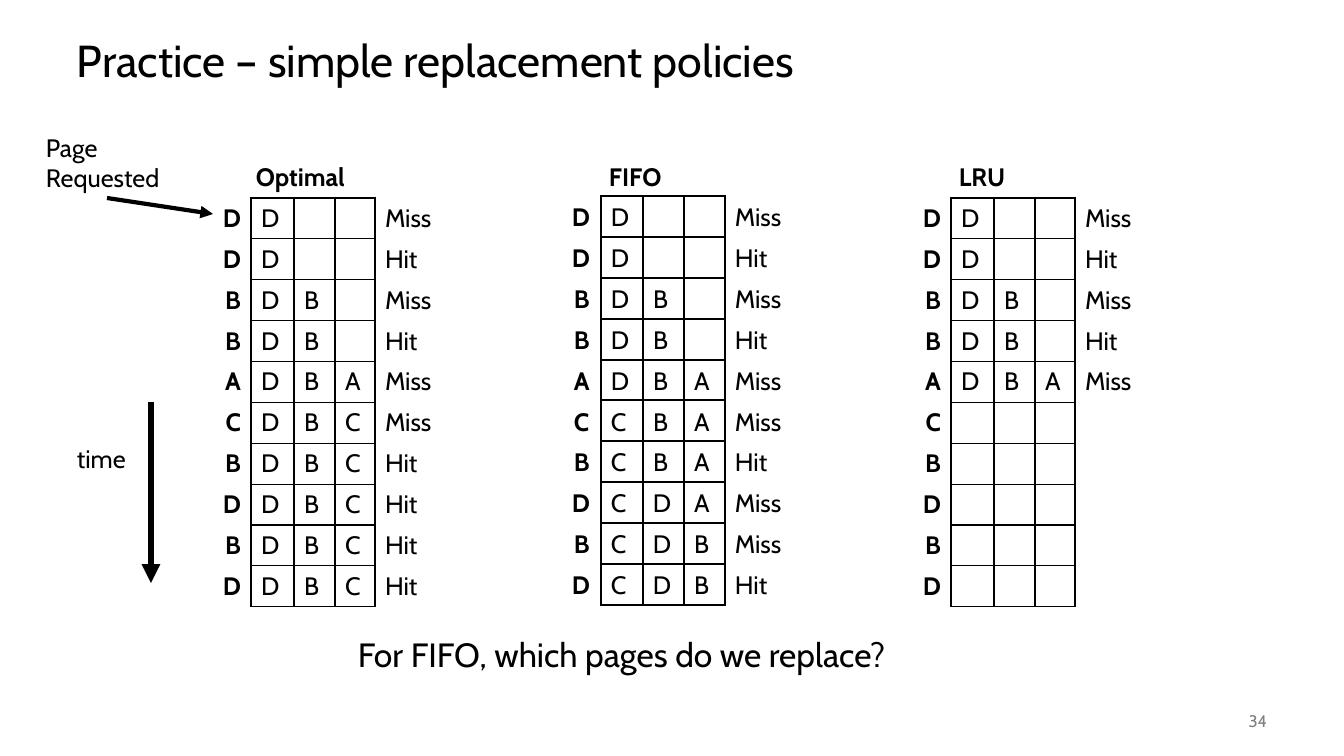
from lxml.etree import SubElement
from pptx import Presentation
from pptx.dml.color import RGBColor
from pptx.enum.shapes import MSO_CONNECTOR
from pptx.enum.text import MSO_ANCHOR, PP_ALIGN
from pptx.oxml.ns import qn
from pptx.util import Emu, Pt

COLORS = {"ink": "000000", "page_number": "808080"}
FONT = "Cabin"
EMU_PER_PX = 914400 / 100.8


def px(length):
    return Emu(round(length * EMU_PER_PX))


def write(paragraph, text, size=18, bold=False, color="ink", align=PP_ALIGN.LEFT):
    paragraph.alignment = align
    run = paragraph.add_run()
    run.text = text
    run.font.name = FONT
    run.font.size = Pt(size)
    run.font.bold = bold
    run.font.color.rgb = RGBColor.from_string(COLORS[color])


presentation = Presentation()
presentation.slide_width = px(1344)
presentation.slide_height = px(756)
slide = presentation.slides.add_slide(presentation.slide_layouts[6])

# Title, labels, question and page number
labels = [
    ("Practice – simple replacement policies", (67, 25, 1210, 76), {"size": 32}),
    ("34", (1176, 701, 101, 40),
     {"size": 12, "color": "page_number", "align": PP_ALIGN.RIGHT}),
    ("time", (67, 438, 77, 41), {}),
    ("Optimal", (246, 156, 132, 41), {"bold": True}),
    ("FIFO", (599, 156, 119, 41), {"bold": True}),
    ("LRU", (949, 156, 116, 41), {"bold": True}),
    ("Page Requested", (36, 127, 141, 71), {}),
    ("For FIFO, which pages do we replace?", (348, 629, 647, 51), {"size": 24}),
]
for text, box, style in labels:
    shape = slide.shapes.add_textbox(*map(px, box))
    frame = shape.text_frame
    frame.word_wrap = True
    frame.vertical_anchor = MSO_ANCHOR.MIDDLE
    write(frame.paragraphs[0], text, **style)
    if style.get("size") == 32:
        frame.paragraphs[0].line_spacing = 0.9

# Optimal and LRU tables: requested page, three frames, outcome
REQUESTS = "DDBBACBDBD"
ROW_COUNT = len(REQUESTS)
GRID_HEIGHT = 409
COLUMN_WIDTHS = [56, 43, 41, 40, 101]
policies = [
    (195, ["D", "D", "DB", "DB", "DBA", "DBC", "DBC", "DBC", "DBC", "DBC"],
     "Miss Hit Miss Hit Miss Miss Hit Hit Hit Hit"),
    (895, ["D", "D", "DB", "DB", "DBA"], "Miss Hit Miss Hit Miss"),
]
for left, frames, outcomes in policies:
    outcomes = outcomes.split()
    table = slide.shapes.add_table(
        ROW_COUNT, len(COLUMN_WIDTHS), px(left), px(198),
        px(sum(COLUMN_WIDTHS)), px(GRID_HEIGHT)).table
    table.first_row = False
    table.horz_banding = False
    for column, width in zip(table.columns, COLUMN_WIDTHS):
        column.width = px(width)
    for row_index, request in enumerate(REQUESTS):
        table.rows[row_index].height = px(GRID_HEIGHT / ROW_COUNT)
        pages = frames[row_index] if row_index < len(frames) else ""
        outcome = outcomes[row_index] if row_index < len(outcomes) else ""
        values = [request, *pages.ljust(3), outcome]
        for column_index, value in enumerate(values):
            cell = table.cell(row_index, column_index)
            paragraph = cell.text_frame.paragraphs[0]
            is_request = column_index == 0
            if value.strip():
                write(paragraph, value, bold=is_request,
                      align=PP_ALIGN.RIGHT if is_request else PP_ALIGN.LEFT)
            else:
                paragraph.font.size = Pt(18)
                paragraph.font.name = FONT

            # Only the frame columns are ruled
            properties = cell._tc.get_or_add_tcPr()
            ruled = {0: ["lnR"], 4: ["lnL"]}.get(
                column_index, ["lnL", "lnR", "lnT", "lnB"])
            for side in ["lnL", "lnR", "lnT", "lnB"]:
                border = SubElement(properties, qn(f"a:{side}"), w=str(Pt(1)))
                if side in ruled:
                    fill = SubElement(border, qn("a:solidFill"))
                    SubElement(fill, qn("a:srgbClr"), val=COLORS["ink"])
                else:
                    SubElement(border, qn("a:noFill"))
            cell.fill.background()

# FIFO grid lines, time arrow and pointer to the first requested page
row_offsets = [GRID_HEIGHT * row / ROW_COUNT for row in range(ROW_COUNT + 1)]
lines = [(x, 195, x, 606, 1, False) for x in (601, 643, 684, 725)]
lines += [(600, round(196 + offset), 726, round(196 + offset), 1, False)
          for offset in row_offsets]
lines += [(151, 402, 151, 583, 4.5, True), (107, 198, 213, 214, 3, True)]
for start_x, start_y, end_x, end_y, weight, has_arrowhead in lines:
    line = slide.shapes.add_connector(
        MSO_CONNECTOR.STRAIGHT, px(start_x), px(start_y), px(end_x), px(end_y))
    line.line.color.rgb = RGBColor.from_string(COLORS["ink"])
    line.line.width = Pt(weight)
    if has_arrowhead:
        SubElement(line.line._get_or_add_ln(), qn("a:tailEnd"), type="triangle")
    SubElement(line._element.spPr, qn("a:effectLst"))

# FIFO entries
fifo_frames = ["D", "D", "DB", "DB", "DBA", "CBA", "CBA", "CDA", "CDB", "CDB"]
fifo_outcomes = "Miss Hit Miss Hit Miss Miss Hit Miss Miss Hit".split()
for request, pages, outcome, offset in zip(
        REQUESTS, fifo_frames, fifo_outcomes, row_offsets):
    request_left = 572 if request == "D" else 574
    entries = [(request, request_left, 604 - request_left, True)]
    entries += [(page, left, 28 if page == "D" else 26, False)
                for page, left in zip(pages, (611, 653, 694))]
    entries.append((outcome, 735, 58 if outcome == "Miss" else 42, False))
    for text, left, width, bold in entries:
        shape = slide.shapes.add_textbox(
            px(left), px(round(201 + offset)), px(width), px(35))
        frame = shape.text_frame
        frame.word_wrap = False
        frame.margin_left = frame.margin_right = 0
        frame.margin_top = frame.margin_bottom = 0
        write(frame.paragraphs[0], text, bold=bold)

presentation.save("out.pptx")
